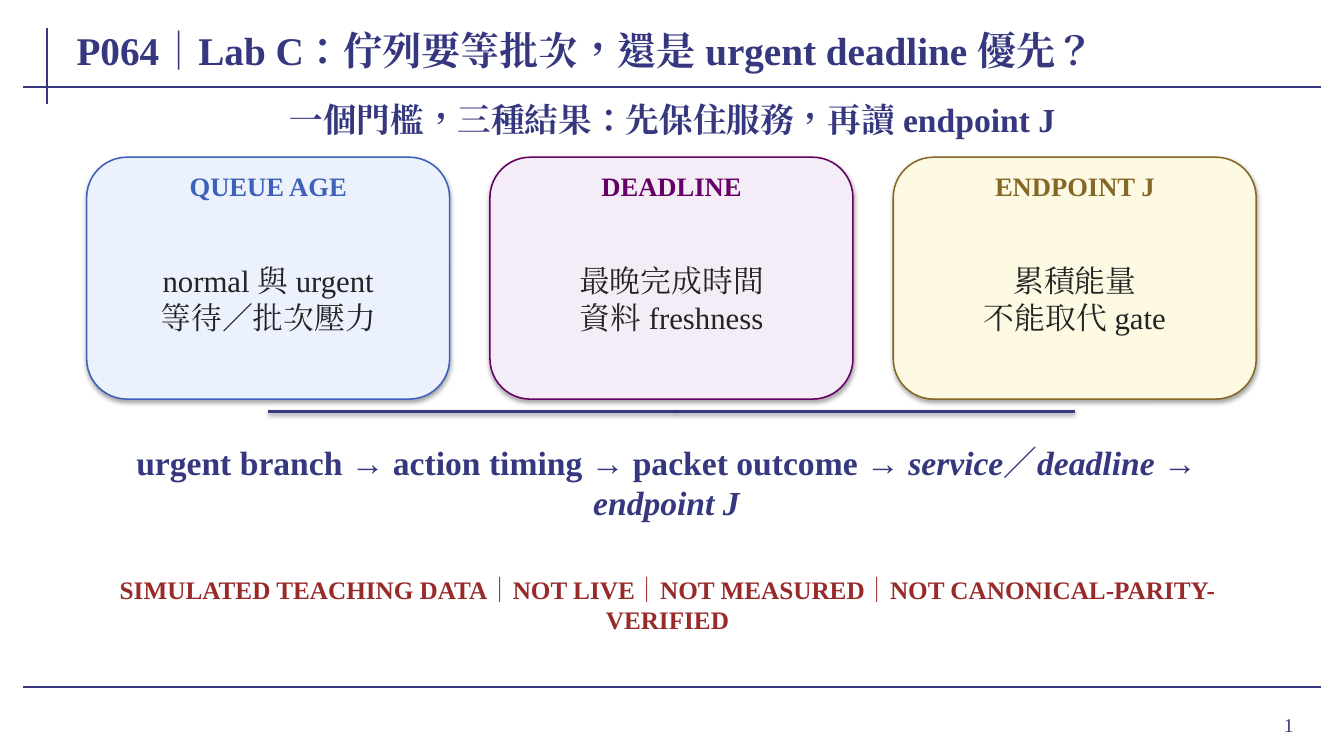
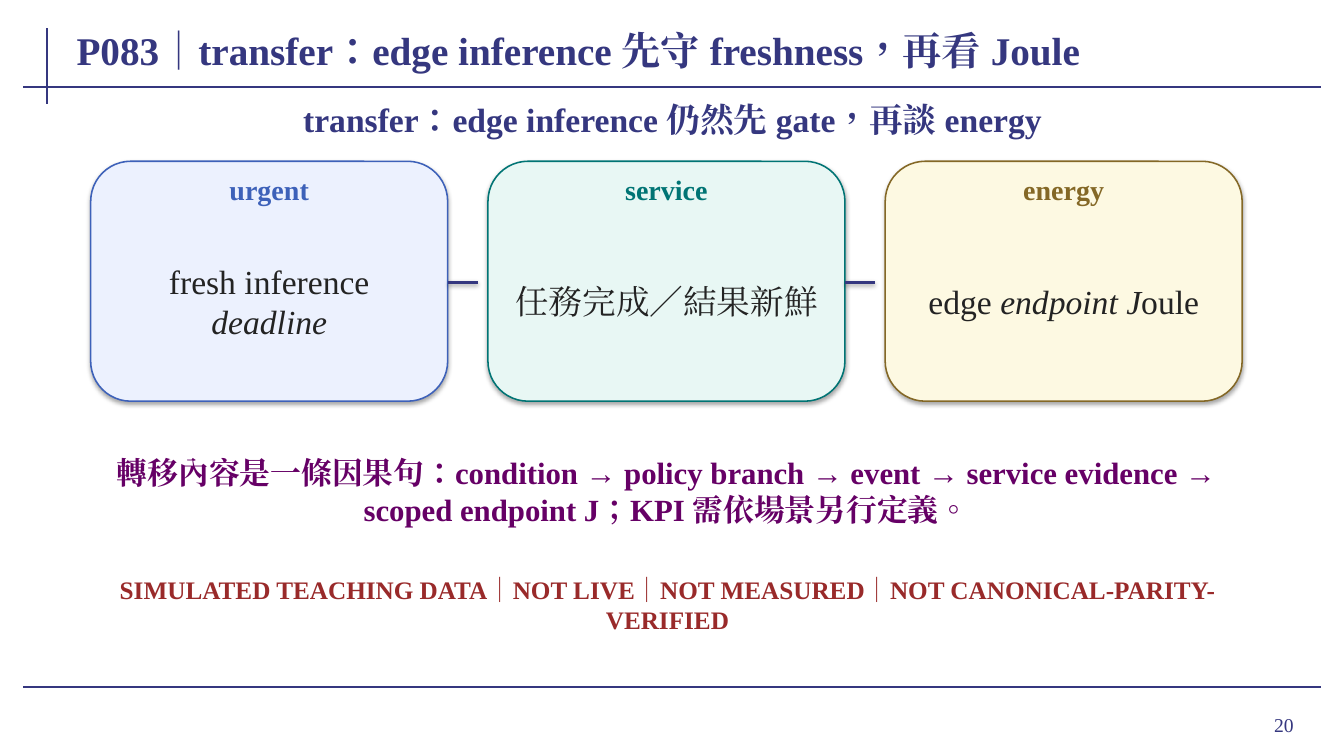
from lxml import etree
from pptx import Presentation
from pptx.dml.color import RGBColor
from pptx.enum.lang import MSO_LANGUAGE_ID
from pptx.enum.shapes import MSO_CONNECTOR, MSO_SHAPE
from pptx.enum.text import MSO_ANCHOR, MSO_AUTO_SIZE, PP_ALIGN
from pptx.oxml.ns import qn
from pptx.util import Inches, Pt

LEFT, CENTER, RIGHT = PP_ALIGN.LEFT, PP_ALIGN.CENTER, PP_ALIGN.RIGHT
MIDDLE = MSO_ANCHOR.MIDDLE
FIT_TEXT = MSO_AUTO_SIZE.SHAPE_TO_FIT_TEXT
STRAIGHT = MSO_CONNECTOR.STRAIGHT
ROUNDED = MSO_SHAPE.ROUNDED_RECTANGLE
CHINESE = MSO_LANGUAGE_ID.TRADITIONAL_CHINESE

FONT = "Times New Roman"
COLORS = {
    "navy": "35377F", "ink": "232323", "red": "992A2A", "shadow": "000000",
    "blue": "3D61B9", "blue_fill": "ECF1FE",
    "purple": "660066", "purple_fill": "F4EDF7",
    "teal": "007474", "teal_fill": "E8F7F4",
    "gold": "846826", "gold_fill": "FDF9E2",
}
DISCLAIMER = "SIMULATED TEACHING DATA｜NOT LIVE｜NOT MEASURED｜NOT CANONICAL-PARITY-VERIFIED"


class LessonDeck:
    """Hold the lesson style and draw elements on the current slide."""

    def __init__(self):
        self.deck = Presentation()
        self.deck.slide_width = Inches(13.33)
        self.deck.slide_height = Inches(7.5)
        self.page = None

    def color(self, name):
        return RGBColor.from_string(COLORS[name])

    def shadow(self, shape, alpha, distance):
        effects = shape._element.spPr.find(qn("a:effectLst"))
        outer = etree.SubElement(
            effects, qn("a:outerShdw"), blurRad=str(Pt(3.1)),
            dist=str(Pt(distance)), dir="5400000", rotWithShape="0")
        tint = etree.SubElement(outer, qn("a:srgbClr"), val=COLORS["shadow"])
        etree.SubElement(tint, qn("a:alpha"), val=str(alpha * 1000))

    def line(self, x1, y1, x2, y2, width=1.5, shaded=False):
        ends = [Inches(value) for value in (x1, y1, x2, y2)]
        connector = self.page.shapes.add_connector(STRAIGHT, *ends)
        connector.line.color.rgb = self.color("navy")
        connector.line.width = Pt(width)
        etree.SubElement(connector._element.spPr, qn("a:effectLst"))
        if shaded:
            self.shadow(connector, 38, 1.6)

    def text(self, place, paragraphs, size, color="navy", bold=False, align=CENTER, fit=True):
        box = self.page.shapes.add_textbox(*[Inches(value) for value in place])
        frame = box.text_frame
        settings = {
            "word_wrap": True, "vertical_anchor": MIDDLE,
            "margin_left": Inches(0.08), "margin_right": Inches(0.08),
            "margin_top": Inches(0.04), "margin_bottom": Inches(0.04),
        }
        if fit:
            settings["auto_size"] = FIT_TEXT
        for name, value in settings.items():
            setattr(frame, name, value)
        for index, content in enumerate(paragraphs):
            para = frame.add_paragraph() if index else frame.paragraphs[0]
            para.alignment = align
            for part, words in enumerate(content.split("*")):
                if words:
                    self.span(para, words, size, color, bold, part % 2 == 1)
        return frame

    def span(self, para, words, size, color, bold, italic):
        span = para.add_run()
        span.text = words
        formats = {"name": FONT, "size": Pt(size), "bold": bold,
                   "italic": italic, "language_id": CHINESE}
        for name, value in formats.items():
            setattr(span.font, name, value)
        span.font.color.rgb = self.color(color)
        etree.SubElement(span.font._element, qn("a:ea"), typeface=FONT)

    def start(self, title, subtitle, number):
        self.page = self.deck.slides.add_slide(self.deck.slide_layouts[6])
        self.line(0.47, 0.28, 0.47, 1.03)
        for y in (0.86, 6.82):
            self.line(0.23, y, 13.1, y)
        frame = self.text((11.96, 6.93, 0.97, 0.52), [number], 14, align=RIGHT, fit=False)
        frame.margin_right = Inches(0.1)
        self.text((0.68, 0.18, 11.95, 0.62), [title], 28, bold=True, align=LEFT, fit=False)
        self.text((0.86, 0.94, 11.62, 0.48), [subtitle], 24, bold=True)
        self.text((0.72, 5.86, 11.8, 0.27), [DISCLAIMER], 18, "red", bold=True)

    def card(self, left, top, width, height, color, heading, body, heading_size, body_size):
        place = [Inches(value) for value in (left, top, width, height)]
        panel = self.page.shapes.add_shape(ROUNDED, *place)
        panel.shadow.inherit = False
        self.shadow(panel, 35, 1.8)
        panel.fill.solid()
        panel.fill.fore_color.rgb = self.color(color + "_fill")
        panel.line.color.rgb = self.color(color)
        panel.line.width = Pt(1.1)
        self.text((left + 0.14, top + 0.12, width - 0.28, 0.32),
                  [heading], heading_size, color, bold=True)
        self.text((left + 0.16, top + 0.52, width - 0.32, height - 0.64),
                  body, body_size, "ink")

    def cards(self, left, top, width, height, cards, heading_size, body_size, gap=0.4):
        for index, card in enumerate(cards):
            self.card(left + index * (width + gap), top, width, height,
                      *card, heading_size, body_size)


def queue_slide(lesson):
    lesson.start("P064｜Lab C：佇列要等批次，還是 urgent deadline 優先？",
                 "一個門檻，三種結果：先保住服務，再讀 endpoint J", "1")
    lesson.cards(0.86, 1.56, 3.6, 2.4, [
        ("blue", "QUEUE AGE", ["normal 與 urgent", "等待／批次壓力"]),
        ("purple", "DEADLINE", ["最晚完成時間", "資料 freshness"]),
        ("gold", "ENDPOINT J", ["累積能量", "不能取代 gate"]),
    ], 19, 22)
    for start, end in ((2.66, 6.7), (6.7, 10.66)):
        lesson.line(start, 4.08, end, 4.08, 2, shaded=True)
    lesson.text((1.05, 4.38, 11.12, 0.8), [
        "urgent branch → action timing → packet outcome → "
        "*service*／*deadline* → *endpoint J*"], 24, bold=True)


def transfer_slide(lesson):
    lesson.start("P083｜transfer：edge inference 先守 freshness，再看 Joule",
                 "transfer：edge inference 仍然先 gate，再談 energy", "20")
    left, width, gap = 0.9, 3.54, 0.4
    lesson.cards(left, 1.6, width, 2.38, [
        ("blue", "urgent", ["fresh inference *deadline*"]),
        ("teal", "service", ["任務完成／結果新鮮"]),
        ("gold", "energy", ["edge *endpoint J*oule"]),
    ], 20, 24, gap)
    for index in range(2):
        start = left + width + index * (width + gap)
        lesson.line(start, 2.8, start + 0.3, 2.8, 1.9, shaded=True)
    lesson.text((1, 4.46, 11.22, 0.82), [
        "轉移內容是一條因果句：condition → policy branch → event → service evidence → "
        "scoped endpoint J；KPI 需依場景另行定義。"], 22, "purple", bold=True)


def main():
    lesson = LessonDeck()
    queue_slide(lesson)
    transfer_slide(lesson)
    lesson.deck.save("out.pptx")


if __name__ == "__main__":
    main()
